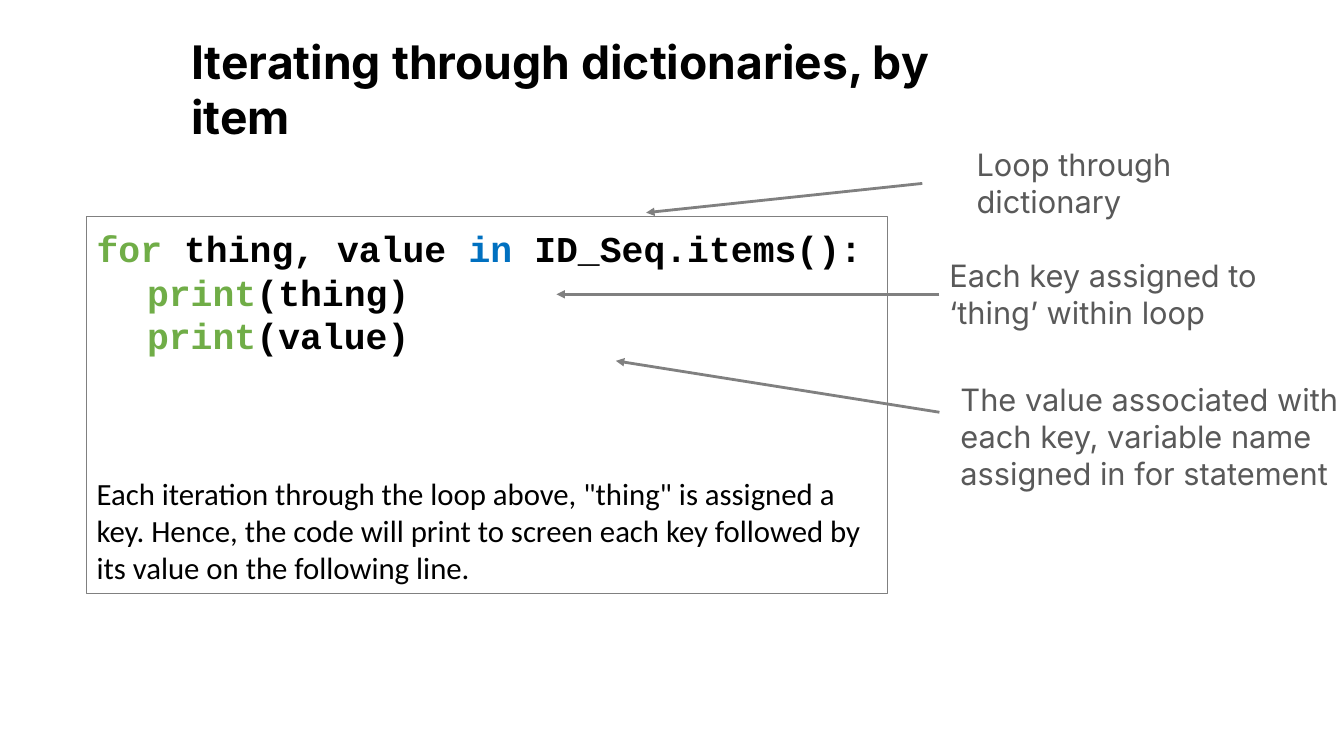
from lxml.etree import SubElement
from pptx import Presentation
from pptx.dml.color import RGBColor
from pptx.enum.shapes import MSO_CONNECTOR, MSO_SHAPE
from pptx.enum.text import MSO_ANCHOR, PP_ALIGN
from pptx.oxml.ns import qn
from pptx.util import Inches, Pt

SLIDE_WIDTH, SLIDE_HEIGHT = Inches(13.33), Inches(7.5)
COLUMNS, ROWS = 40, 30

BLACK = RGBColor(0x00, 0x00, 0x00)
GRAY = RGBColor(0x80, 0x80, 0x80)
DARK_GRAY = RGBColor(0x59, 0x59, 0x59)
GREEN = RGBColor(0x70, 0xAD, 0x47)
BLUE = RGBColor(0x00, 0x70, 0xC0)

TITLE = {"name": "Inter", "size": Pt(33), "bold": True}
CODE = {"name": "Courier New", "size": Pt(26), "bold": True}
EXPLANATION = {"name": "Calibri", "size": Pt(22), "bold": False}
CALLOUT = {"name": "Inter", "size": Pt(22), "bold": False}

CODE_LINES = [
    [("for", GREEN), (" thing, value ", BLACK), ("in ", BLUE), ("ID_Seq.items():", BLACK)],
    [("\t", BLACK), ("print", GREEN), ("(thing)", BLACK)],
    [("\t", BLACK), ("print", GREEN), ("(value)", BLACK)],
]
ITERATION_NOTE = (
    'Each iteration through the loop above, "thing" is assigned a key. Hence, the code '
    "will print to screen each key followed by its value on the following line."
)
# Wording, text area, arrow start and arrow tip, in columns and rows
CALLOUTS = [
    ("Loop through dictionary", (28.77, 5.6, 7.53, 3.36), (27.45, 7.28), (19.23, 8.44)),
    ("Each key assigned to ‘thing’ within loop", (27.96, 10, 10.11, 3.36),
     (27.96, 11.68), (16.56, 11.68)),
    ("The value associated with each key, variable name assigned in for statement",
     (28.29, 14.92, 12.21, 4.84), (27.96, 16.36), (18.33, 14.32)),
]


def place(column, row):
    """Turn a grid position into slide lengths."""
    return round(SLIDE_WIDTH * column / COLUMNS), round(SLIDE_HEIGHT * row / ROWS)


def area(column, row, columns, rows):
    """Turn a grid area into left, top, width and height."""
    return place(column, row) + place(columns, rows)


def apply(target, formats):
    """Set each format value on the target."""
    for attribute, value in formats.items():
        setattr(target, attribute, value)


def write(paragraph, pieces, font_format):
    """Fill a left-aligned paragraph with coloured runs of one font."""
    paragraph.alignment = PP_ALIGN.LEFT
    for wording, color in pieces:
        run = paragraph.add_run()
        run.text = wording
        apply(run.font, font_format)
        run.font.color.rgb = color


def add_text(slide, grid_area, wording, font_format, color):
    """Add a wrapped text box with a single paragraph."""
    frame = slide.shapes.add_textbox(*area(*grid_area)).text_frame
    frame.word_wrap = True
    write(frame.paragraphs[0], [(wording, color)], font_format)


def add_code_panel(slide, grid_area):
    """Add the outlined panel with the loop and its explanation below."""
    panel = slide.shapes.add_shape(MSO_SHAPE.RECTANGLE, *area(*grid_area))
    panel.shadow.inherit = False
    panel.fill.background()
    panel.line.color.rgb = GRAY
    panel.line.width = Pt(0.75)
    frame = panel.text_frame
    apply(frame, {"word_wrap": True, "vertical_anchor": MSO_ANCHOR.TOP,
                  "margin_top": Pt(7)})
    for index, code_line in enumerate(CODE_LINES):
        paragraph = frame.add_paragraph() if index else frame.paragraphs[0]
        paragraph.line_spacing = Pt(31)
        write(paragraph, code_line, CODE)
    explanation = frame.add_paragraph()
    explanation.space_before = Pt(84)
    write(explanation, [(ITERATION_NOTE, BLACK)], EXPLANATION)


def add_arrow(slide, start, tip):
    """Add a gray arrow from a callout to the code."""
    arrow = slide.shapes.add_connector(MSO_CONNECTOR.STRAIGHT, *place(*start), *place(*tip))
    arrow.line.color.rgb = GRAY
    arrow.line.width = Pt(2)
    SubElement(arrow.line._get_or_add_ln(), qn("a:tailEnd"), type="triangle")
    SubElement(arrow._element.spPr, qn("a:effectLst"))


def main():
    """Build the slide and save it."""
    deck = Presentation()
    apply(deck, {"slide_width": SLIDE_WIDTH, "slide_height": SLIDE_HEIGHT})
    slide = deck.slides.add_slide(deck.slide_layouts[6])
    add_text(slide, (5.4, 1.12, 23.82, 2.64), "Iterating through dictionaries, by item",
             TITLE, BLACK)
    add_code_panel(slide, (2.58, 8.6, 23.82, 14.96))
    for wording, text_area, start, tip in CALLOUTS:
        add_text(slide, text_area, wording, CALLOUT, DARK_GRAY)
        add_arrow(slide, start, tip)
    deck.save("out.pptx")


main()
